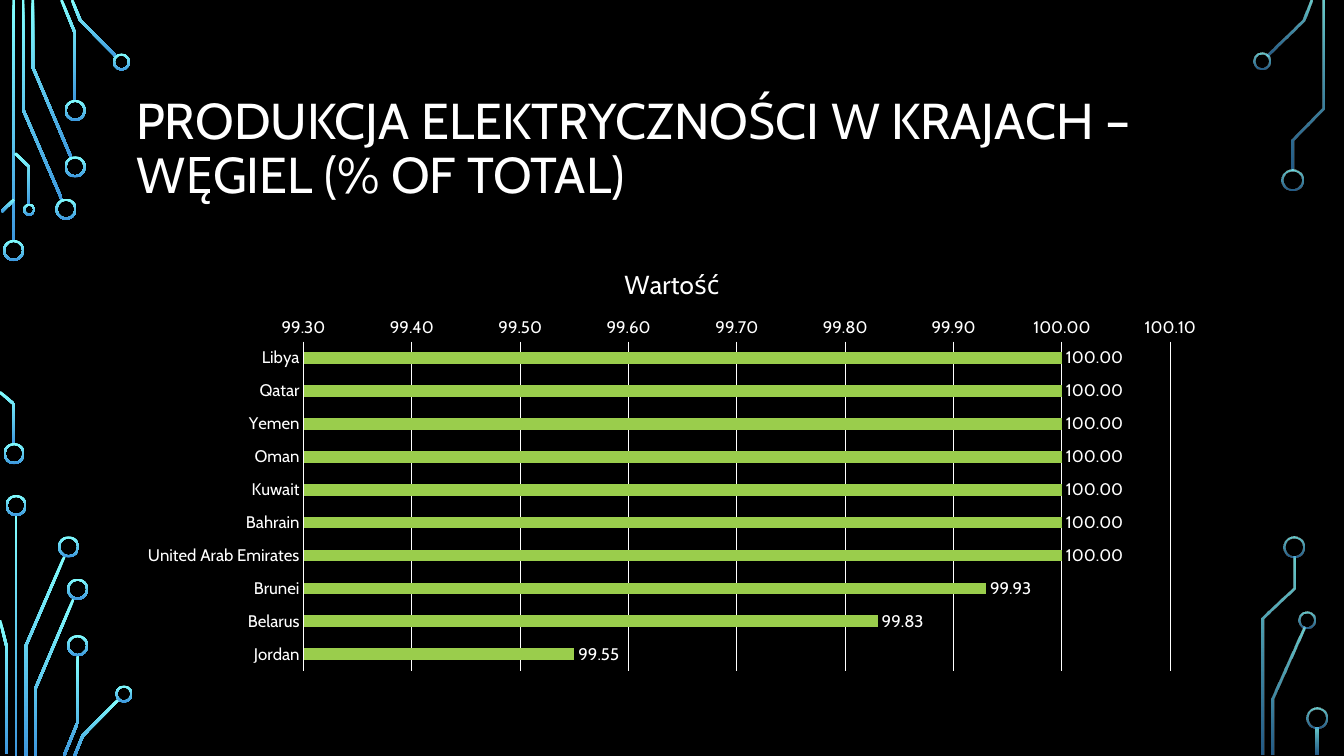
"""Build a slide with a bar chart of coal-fired electricity by country between circuit traces."""
from lxml import etree
from pptx import Presentation
from pptx.chart import data as chart_data
from pptx.dml.color import RGBColor
from pptx.enum import chart as chart_enum, shapes, text
from pptx.oxml.ns import qn
from pptx import util as u

THEME = {
    "font": "Cabin",
    "background": RGBColor.from_string("000000"),
    "ink": RGBColor.from_string("FFFFFF"),
    "bar": RGBColor.from_string("9ACD4C"),
    "trace": (RGBColor.from_string("82FFFF"), RGBColor.from_string("3D97DE")),
    "heading_size": 36,
    "chart_title_size": 18.6,
    "label_size": 12,
    "rule_width": 0.75,
}
CELL = u.Inches(0.01)
ROWS = 750
CONTENT_LEFT, CONTENT_WIDTH = 125 * CELL, 1083 * CELL
HALF_TRACE = 1.3
FINE = 100


def write(frame, words, *, size, align, spacing=None):
    """Put one formatted paragraph into a text frame."""
    frame.text = words
    paragraph = frame.paragraphs[0]
    paragraph.alignment = align
    paragraph.line_spacing = spacing
    font = paragraph.runs[0].font
    font.name, font.size, font.bold = THEME["font"], u.Pt(size), False
    font.color.rgb = THEME["ink"]


def glow(part, opacities):
    """Fill a circuit part with the vertical trace gradient."""
    part.shadow.inherit = False
    part.line.fill.background()
    part.fill.gradient()
    part.fill.gradient_angle = 270
    for stop, place, color in zip(part.fill.gradient_stops, (0, 1), THEME["trace"]):
        stop.position = place
        stop.color.rgb = color
    for color, opacity in zip(part._element.spPr.iter(qn("a:srgbClr")), opacities):
        if opacity < 100:
            etree.SubElement(color, qn("a:alpha"), val=str(opacity * 1000))


deck = Presentation()
deck.slide_width, deck.slide_height = u.Inches(13.33), u.Inches(7.5)
slide = deck.slides.add_slide(deck.slide_layouts[5])
slide.background.fill.solid()
slide.background.fill.fore_color.rgb = THEME["background"]

corner_wires = [
    (21, [13.5, 13.5 + 248.5j]),
    (21, [23, 23 + 109j, 65.5 + 207.5j]),
    (21, [32.5, 32.5 + 66.5j, 74.5 + 165.5j]),
    (21, [61, 74.5 + 33j, 74.5 + 109.5j]),
    (17, [71.5, 79.5 + 20j, 120.5 + 61.5j]),
]
mirrored_wires = [
    (ring, [point.conjugate() + 2.5 + ROWS * 1j for point in points])
    for ring, points in corner_wires
]
edge_wires = [
    (0, [1.5 + 210j, 14 + 198j]),
    (21, [389j, 14 + 401j, 14 + 450j]),
    (12, [15 + 152j, 29 + 165.5j, 29 + 208j]),
    (0, [615j, 6.5 + 641j, 6.5 + 748j]),
]
right_wires = [
    (17, [1300, 1292.5 + 20j, 1252 + 60.5j]),
    (21, [1312.5, 1312.5 + 107.5j, 1282 + 138.5j, 1282 + 178.5j]),
    (17, [1262.5 + 749j, 1262.5 + 693.5j, 1296.5 + 615.5j]),
    (21, [1252.5 + 749j, 1252.5 + 613.5j, 1283.5 + 583.5j, 1283.5 + 542.5j]),
    (21, [1306.5 + 749j, 1306.5 + 712.5j]),
]
circuits = [
    (corner_wires + mirrored_wires + edge_wires, (100, 100)),
    (right_wires, (80, 60)),
]
for wires, opacities in circuits:
    for size, points in wires:
        headings = [(b - a) / abs(b - a) for a, b in zip(points, points[1:])]
        tip = points[-1] - headings[-1] * max(size / 2 - 1, 0)
        left_side, right_side = [], []
        for point, before, after in zip(
                points[:-1] + [tip], headings[:1] + headings, headings + headings[-1:]):
            bend = 1 + (before * after.conjugate()).real
            offset = 1j * HALF_TRACE * (before + after) / bend
            left_side.append(point + offset)
            right_side.append(point - offset)
        start, *corners = [
            (round(z.real * FINE), round(z.imag * FINE)) for z in left_side + right_side[::-1]]
        outline = slide.shapes.build_freeform(*start, scale=CELL / FINE)
        outline.add_line_segments(corners, close=True)
        glow(outline.convert_to_shape(), opacities)
        if size:
            box = (points[-1].real - size / 2, points[-1].imag - size / 2, size, size)
            ring = slide.shapes.add_shape(
                shapes.MSO_SHAPE.DONUT, *(round(n * CELL) for n in box))
            ring.adjustments[0] = 2 / size
            glow(ring, opacities)

heading = slide.shapes.title
heading.left, heading.top = CONTENT_LEFT, 68 * CELL
heading.width, heading.height = CONTENT_WIDTH, 162 * CELL
heading.text_frame.word_wrap = True
heading.text_frame.auto_size = text.MSO_AUTO_SIZE.NONE
heading.text_frame.vertical_anchor = text.MSO_ANCHOR.MIDDLE
write(heading.text_frame, "PRODUKCJA ELEKTRYCZNOŚCI W KRAJACH – WĘGIEL (% OF TOTAL)",
      size=THEME["heading_size"], align=text.PP_ALIGN.LEFT, spacing=0.9)

coal_share = {
    "Libya": 100, "Qatar": 100, "Yemen": 100, "Oman": 100, "Kuwait": 100, "Bahrain": 100,
    "United Arab Emirates": 100, "Brunei": 99.93, "Belarus": 99.83, "Jordan": 99.55,
}
figures = chart_data.CategoryChartData(number_format="0.00")
figures.categories = list(coal_share)
figures.add_series("Wartość", list(coal_share.values()))
ranking = slide.shapes.add_chart(
    chart_enum.XL_CHART_TYPE.BAR_CLUSTERED,
    CONTENT_LEFT, 246 * CELL, CONTENT_WIDTH, 428 * CELL, figures).chart
ranking.has_legend = False
ranking.has_title = True
ranking.chart_title.include_in_layout = False
write(ranking.chart_title.text_frame, "Wartość",
      size=THEME["chart_title_size"], align=text.PP_ALIGN.CENTER)

bars = ranking.plots[0]
bars.gap_width = 182
bars.vary_by_categories = False
bars.series[0].format.fill.solid()
bars.series[0].format.fill.fore_color.rgb = THEME["bar"]
bars.has_data_labels = True
values = bars.data_labels
values.show_value = True
values.position = chart_enum.XL_LABEL_POSITION.OUTSIDE_END

countries, shares = ranking.category_axis, ranking.value_axis
countries.reverse_order = True
shares.minimum_scale, shares.maximum_scale, shares.major_unit = 99.3, 100.1, 0.1
shares.format.line.fill.background()
shares.has_major_gridlines = True
for rule in (countries.format.line, shares.major_gridlines.format.line):
    rule.color.rgb = THEME["ink"]
    rule.width = u.Pt(THEME["rule_width"])
for axis in (countries, shares):
    axis.major_tick_mark = axis.minor_tick_mark = chart_enum.XL_TICK_MARK.NONE
for labels in (values, shares.tick_labels):
    labels.number_format = "0.00"
    labels.number_format_is_linked = False
for font in (ranking.font, values.font, countries.tick_labels.font, shares.tick_labels.font):
    font.name, font.size = THEME["font"], u.Pt(THEME["label_size"])
    font.color.rgb = THEME["ink"]

deck.save("out.pptx")
